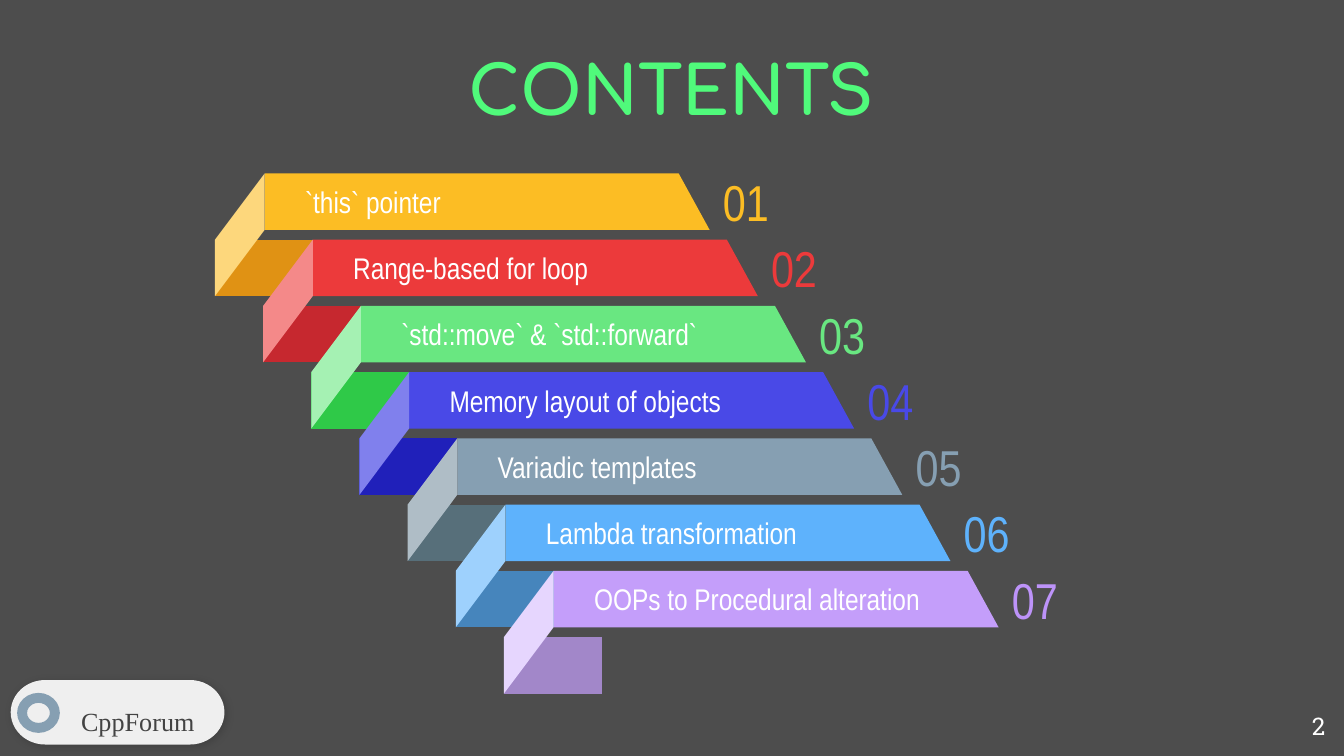
from lxml import etree
from pptx import Presentation
from pptx.dml.color import RGBColor
from pptx.enum.shapes import MSO_SHAPE
from pptx.enum.text import MSO_ANCHOR, MSO_AUTO_SIZE, PP_ALIGN
from pptx.oxml import parse_xml
from pptx.oxml.ns import nsdecls, qn
from pptx.util import Inches, Pt

PILL = MSO_SHAPE.FLOWCHART_TERMINATOR
RING = MSO_SHAPE.DONUT
TOP, MIDDLE = MSO_ANCHOR.TOP, MSO_ANCHOR.MIDDLE
LEFT, CENTER, RIGHT = PP_ALIGN.LEFT, PP_ALIGN.CENTER, PP_ALIGN.RIGHT
NO_FIT = MSO_AUTO_SIZE.NONE

WIDE = 10
HIGH = WIDE * 9 / 16
WHITE = RGBColor(0xFF, 0xFF, 0xFF)
DARK = RGBColor(0x4D, 0x4D, 0x4D)
NEON = RGBColor(0x50, 0xFA, 0x7B)
PALE = RGBColor(0xEF, 0xEF, 0xEF)
INK = RGBColor(0x43, 0x43, 0x43)
STEEL = RGBColor(0x86, 0x9F, 0xB2)
AMBER = RGBColor(0xFC, 0xBD, 0x24)
AMBER_DARK = RGBColor(0xE0, 0x92, 0x14)
AMBER_PALE = RGBColor(0xFD, 0xD7, 0x7C)
RED = RGBColor(0xEC, 0x3A, 0x3B)
RED_DARK = RGBColor(0xC6, 0x28, 0x2F)
RED_PALE = RGBColor(0xF4, 0x89, 0x89)
GREEN = RGBColor(0x69, 0xE7, 0x81)
GREEN_DARK = RGBColor(0x2F, 0xC9, 0x48)
GREEN_PALE = RGBColor(0xA5, 0xF1, 0xB3)
BLUE = RGBColor(0x49, 0x49, 0xE7)
BLUE_DARK = RGBColor(0x20, 0x20, 0xBA)
BLUE_PALE = RGBColor(0x80, 0x80, 0xED)
STEEL_DARK = RGBColor(0x57, 0x6F, 0x7A)
STEEL_PALE = RGBColor(0xAF, 0xBD, 0xC6)
SKY = RGBColor(0x5E, 0xB2, 0xFC)
SKY_DARK = RGBColor(0x46, 0x85, 0xBC)
SKY_PALE = RGBColor(0x9E, 0xD1, 0xFD)
LILAC = RGBColor(0xC4, 0x9E, 0xFA)
LILAC_DARK = RGBColor(0xA2, 0x87, 0xC9)
LILAC_PALE = RGBColor(0xE6, 0xD6, 0xFE)
VIOLET = RGBColor(0xBD, 0x93, 0xF9)

TOPICS = [
    ("`this` pointer", AMBER, AMBER_DARK, AMBER_PALE, AMBER),
    ("Range-based for loop", RED, RED_DARK, RED_PALE, RED),
    ("`std::move` & `std::forward`", GREEN, GREEN_DARK, GREEN_PALE, GREEN),
    ("Memory layout of objects", BLUE, BLUE_DARK, BLUE_PALE, BLUE),
    ("Variadic templates", STEEL, STEEL_DARK, STEEL_PALE, STEEL),
    ("Lambda transformation", SKY, SKY_DARK, SKY_PALE, SKY),
    ("OOPs to Procedural alteration", LILAC, LILAC_DARK, LILAC_PALE, VIOLET),
]
BAR_WIDE, BAR_HIGH = 3.31, 0.42
FOLD, SLANT = 0.37, 0.23


def write(shape, text, font, size, color, align=LEFT, anchor=MIDDLE, inset=0.1, rim=0.1):
    """Set and format the one line of text in a shape."""
    frame = shape.text_frame
    frame.text = text
    frame.word_wrap = True
    frame.auto_size = NO_FIT
    frame.vertical_anchor = anchor
    frame.margin_left = Inches(inset)
    frame.margin_right = Inches(0.1)
    frame.margin_top = frame.margin_bottom = Inches(rim)
    line = frame.paragraphs[0]
    line.alignment = align
    face = line.runs[0].font
    face.name, face.size, face.color.rgb = font, Pt(size), color
    return face


def paint(shape, color):
    """Give a shape a flat fill with no line or shadow."""
    shape.shadow.inherit = False
    shape.fill.solid()
    shape.fill.fore_color.rgb = color
    shape.line.fill.background()
    return shape


def label(slide, box, *args, **kwargs):
    """Add a text box."""
    write(slide.shapes.add_textbox(*map(Inches, box)), *args, **kwargs)


def facet(slide, color, points):
    """Add a closed, filled outline through the points."""
    spots = [(Inches(x), Inches(y)) for x, y in points]
    pen = slide.shapes.build_freeform(*spots[0], scale=1.0)
    pen.add_line_segments(spots[1:], close=True)
    return paint(pen.convert_to_shape(), color)


def ribbon(slide, left, top, run, drop, number, topic):
    """Draw one folded ribbon with its topic and number."""
    text, front, back, side, tint = topic
    edge, end = left + FOLD, left + FOLD + BAR_WIDE
    base, low = top + BAR_HIGH, top + drop
    bar = facet(slide, front, [(edge, top), (edge, base), (end, base), (end - SLANT, top)])
    write(bar, text, "Arial Narrow", 16, WHITE, inset=0.3)
    foot = low + BAR_HIGH
    facet(slide, back, [(left, low), (left, foot), (edge + run, foot), (edge + run, low)])
    facet(slide, side, [(edge, top), (left, low), (left, foot), (edge, base)])
    label(slide, (end, top, 0.88, BAR_HIGH), f"{number:02}", "Arial Narrow", 27, tint)


def stairs(slide, box, topics):
    """Lay the ribbons out as a staircase that fills the box."""
    left, top, wide, high = box
    run = (wide - FOLD - BAR_WIDE) / (len(topics) - 1)
    drop = (high - BAR_HIGH) / len(topics)
    for i, topic in enumerate(topics):
        ribbon(slide, left + i * run, top + i * drop, run, drop, i + 1, topic)


def shade(shape):
    """Give a shape a soft drop shadow."""
    effects = shape.element.spPr.find(qn("a:effectLst"))
    effects.append(parse_xml(
        f'<a:outerShdw {nsdecls("a")} blurRad="{Pt(4.5)}" dist="{Pt(1.5)}" dir="2400000">'
        '<a:srgbClr val="000000"/></a:outerShdw>'))
    etree.SubElement(effects[0][0], qn("a:alpha"), val="17000")


def badge(slide, box):
    """Draw the group's pill with a ring and a name."""
    left, top, wide, high = box
    pill = slide.shapes.add_shape(PILL, *map(Inches, box))
    shade(paint(pill, PALE))
    ring = (left + 0.03 * wide, top + 0.2 * high, 0.2 * wide, 0.62 * high)
    paint(slide.shapes.add_shape(RING, *map(Inches, ring)), STEEL)
    name = (left + 0.26 * wide, top + 0.29 * high, 0.67 * wide, 0.56 * high)
    label(slide, name, "CppForum", "Times New Roman", 14, INK, CENTER, TOP, rim=0.05)


def title(slide, box, text):
    """Place and format the title."""
    head = slide.shapes.title
    head.left, head.top, head.width, head.height = map(Inches, box)
    write(head, text, "Comfortaa", 36, NEON, CENTER).bold = True


def main():
    """Build the contents slide."""
    deck = Presentation()
    deck.slide_width, deck.slide_height = Inches(WIDE), Inches(HIGH)
    slide = deck.slides.add_slide(deck.slide_layouts[5])
    slide.background.fill.solid()
    slide.background.fill.fore_color.rgb = DARK
    badge(slide, (0.08, 5.06, 1.59, 0.48))
    title(slide, (0.67, 0.29, 8.65, 0.74), "CONTENTS")
    label(slide, (9.36, 5.19, 0.6, 0.43), "2", "Roboto Slab", 13, WHITE, RIGHT, TOP)
    stairs(slide, (1.6, 1.29, 5.83, 3.87), TOPICS)
    deck.save("out.pptx")


if __name__ == "__main__":
    main()
